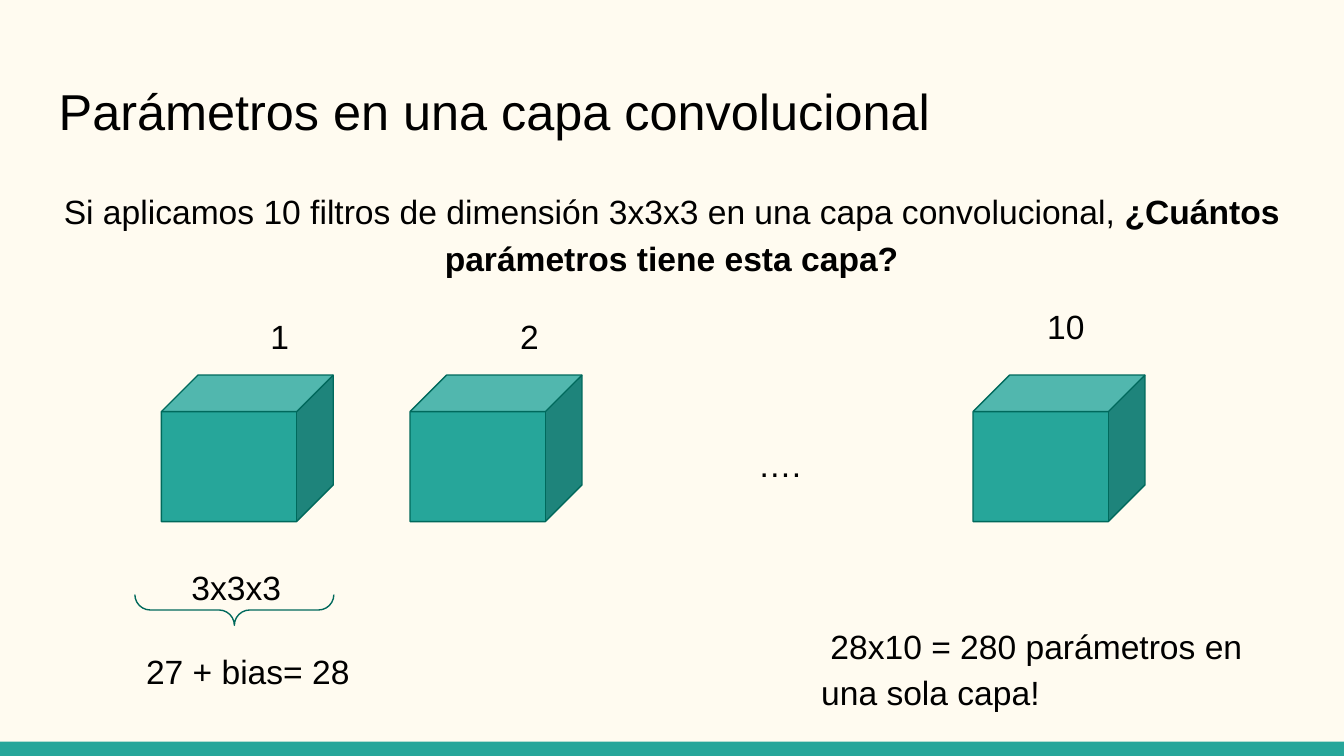
from typing import NamedTuple

from pptx import Presentation
from pptx.dml.color import RGBColor
from pptx.enum.shapes import MSO_SHAPE
from pptx.enum.text import MSO_ANCHOR, MSO_AUTO_SIZE, PP_ALIGN
from pptx.shapes.autoshape import Shape
from pptx.slide import Slide
from pptx.util import Cm, Pt

CREAM, TEAL, DARK_TEAL, BLACK = "FFFBF0", "26A69A", "00695C", "000000"


class Box(NamedTuple):
    left: float
    top: float
    width: float
    height: float


class Caption(NamedTuple):
    words: str
    box: Box
    align: PP_ALIGN = PP_ALIGN.CENTER
    size: float = 18
    spacing: float = 1.15
    after: float = 12
    anchor: MSO_ANCHOR = MSO_ANCHOR.TOP
    fit: MSO_AUTO_SIZE = MSO_AUTO_SIZE.SHAPE_TO_FIT_TEXT
    question: str = ""


class Filter(NamedTuple):
    number: str
    cube_left: float
    number_left: float
    number_top: float


TITLE = Caption(
    "Parámetros en una capa convolucional", Box(0.86, 1.24, 23.67, 1.7),
    PP_ALIGN.LEFT, 27, 1, 0, MSO_ANCHOR.MIDDLE, MSO_AUTO_SIZE.NONE,
)
PROBLEM = Caption(
    "Si aplicamos 10 filtros de dimensión 3x3x3 en una capa convolucional, ",
    Box(0.86, 3.25, 23.67, 2.62), fit=MSO_AUTO_SIZE.NONE,
    question="¿Cuántos parámetros tiene esta capa?",
)
FILTERS = [
    Filter("1", 3.05, 4.27, 5.61),
    Filter("2", 7.75, 8.99, 5.61),
    Filter("10", 18.39, 19.13, 5.41),
]
CALCULATIONS = [
    Caption("3x3x3", Box(0.3, 10.36, 8.33, 1.27)),
    Caption("27 + bias= 28", Box(2.26, 11.94, 4.85, 1.27)),
    Caption(" 28x10 = 280 parámetros en una sola capa!",
            Box(15.27, 11.46, 9.27, 2.16), PP_ALIGN.LEFT),
    Caption("….", Box(10.57, 8.03, 8.33, 1.27)),
]


def color(value: str) -> RGBColor:
    return RGBColor.from_string(value)


def add_figure(slide: Slide, kind: MSO_SHAPE, box: Box,
               fill: str = "", line: str = "") -> Shape:
    figure = slide.shapes.add_shape(kind, *map(Cm, box))
    figure.shadow.inherit = False
    if fill:
        figure.fill.solid()
        figure.fill.fore_color.rgb = color(fill)
    else:
        figure.fill.background()
    if line:
        figure.line.color.rgb = color(line)
        figure.line.width = Pt(0.75)
    else:
        figure.line.fill.background()
    return figure


def add_caption(slide: Slide, caption: Caption) -> None:
    frame = slide.shapes.add_textbox(*map(Cm, caption.box)).text_frame
    frame.word_wrap = True
    frame.auto_size = caption.fit
    frame.vertical_anchor = caption.anchor
    frame.margin_left = frame.margin_right = Cm(0.25)
    frame.margin_top = frame.margin_bottom = Cm(0.25)
    frame.text = caption.words
    paragraph = frame.paragraphs[0]
    paragraph.alignment = caption.align
    paragraph.line_spacing = caption.spacing
    paragraph.space_after = Pt(caption.after)
    if caption.question:
        question = paragraph.add_run()
        question.text = caption.question
        question.font.bold = True
    for run in paragraph.runs:
        run.font.name = "Arial"
        run.font.size = Pt(caption.size)
        run.font.color.rgb = color(BLACK)


def add_filter(slide: Slide, item: Filter) -> None:
    cube = Box(item.cube_left, 7.09, 3.25, 2.77)
    add_figure(slide, MSO_SHAPE.CUBE, cube, TEAL, DARK_TEAL)
    number = Box(item.number_left, item.number_top, 2.03, 1.27)
    add_caption(slide, Caption(item.number, number))


def main() -> None:
    presentation = Presentation()
    presentation.slide_width = Cm(25.4)
    presentation.slide_height = Cm(14.29)
    slide = presentation.slides.add_slide(presentation.slide_layouts[6])
    slide.background.fill.solid()
    slide.background.fill.fore_color.rgb = color(CREAM)

    add_figure(slide, MSO_SHAPE.RECTANGLE, Box(0, 14.02, 25.4, 0.27), TEAL)
    add_caption(slide, TITLE)
    add_caption(slide, PROBLEM)
    for item in FILTERS:
        add_filter(slide, item)
    brace = add_figure(slide, MSO_SHAPE.LEFT_BRACE,
                       Box(4.14, 9.65, 0.58, 3.76), line=DARK_TEAL)
    brace.rotation = 270
    brace.adjustments[0] = 0.5
    for calculation in CALCULATIONS:
        add_caption(slide, calculation)

    presentation.save("out.pptx")


if __name__ == "__main__":
    main()
